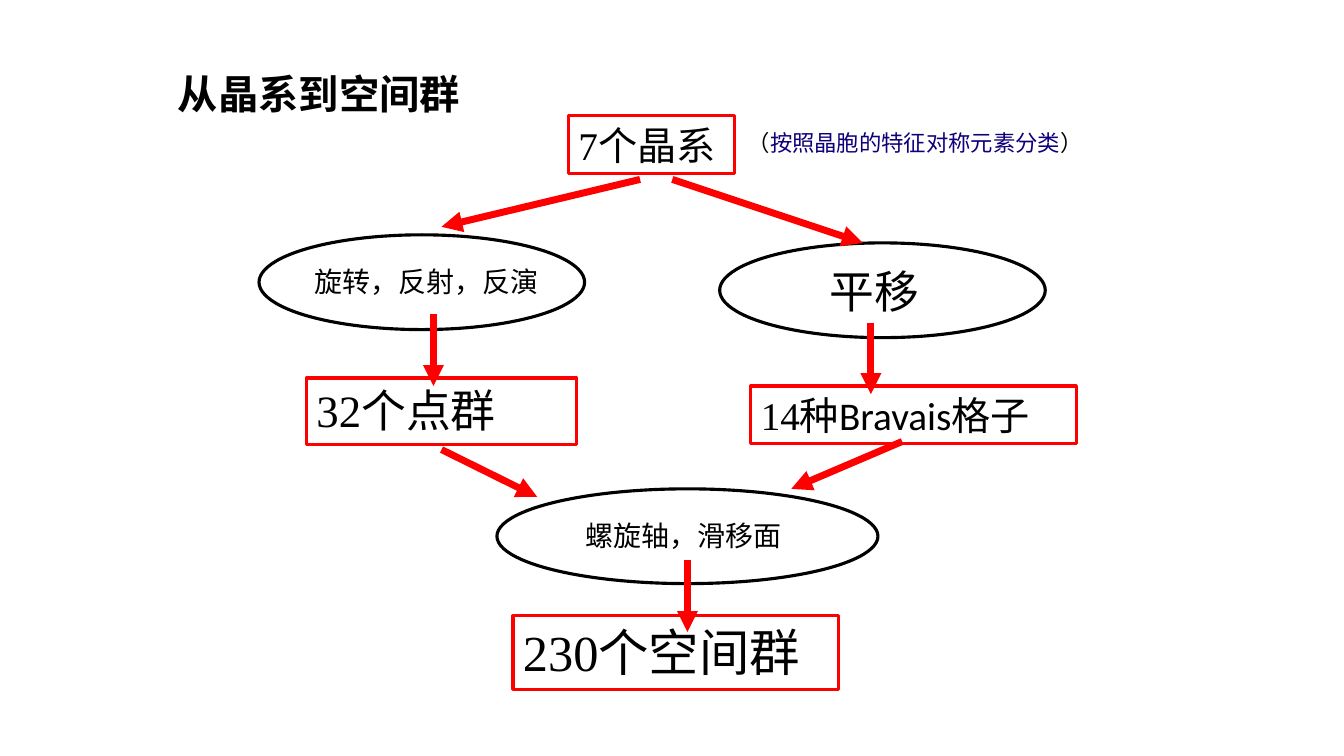
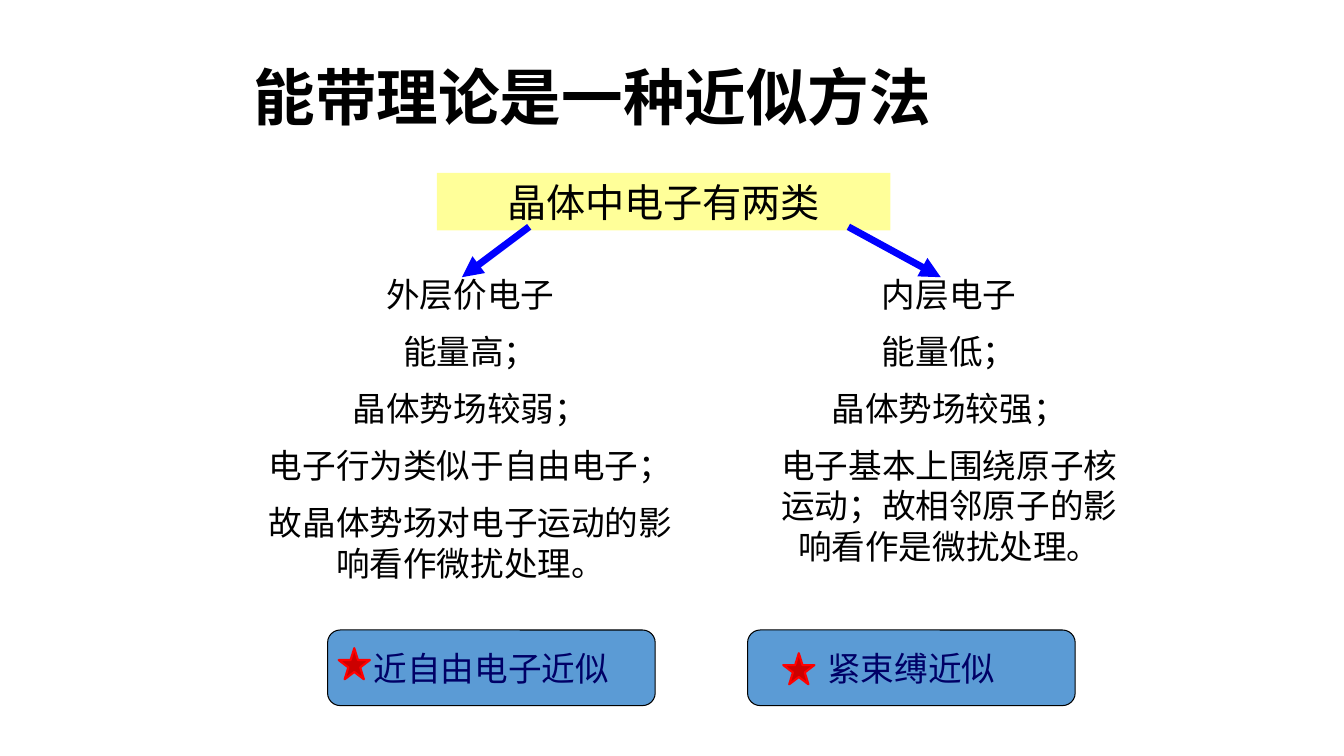
from dataclasses import dataclass

from lxml import etree
from pptx import Presentation, util as u
from pptx.dml.color import RGBColor
from pptx.enum import shapes, text
from pptx.enum.lang import MSO_LANGUAGE_ID as Lang
from pptx.oxml.ns import qn


@dataclass(frozen=True)
class Theme:
    sans: str = "Calibri"
    serif: str = "Times New Roman"
    black: str = "000000"
    red: str = "FF0000"
    blue: str = "0000FF"
    indigo: str = "0F007A"
    navy: str = "000066"
    yellow: str = "FFFF99"
    button: str = "5B9BD5"
    star: str = "CC0000"
    note: float = 16
    small: float = 20
    body: float = 24
    mid: float = 28
    large: float = 32
    huge: float = 36
    edge: float = 2.25
    arrow: float = 5


T = Theme()
CELL = u.Inches(1 / 12)  # the slide is a grid of 160 x 90 cells
FORM = shapes.MSO_SHAPE
LEFT, MID = text.PP_ALIGN.LEFT, text.PP_ALIGN.CENTER

# Content of slide 1: places are column, row, width, height in cells
GROUPS = {
    "title": ("从晶系到空间群", 28.8, (20, 8.16, 52.92, 6.6)),
    "ovals": [(30.84, 27.96, 38.76), (59.16, 58.2, 45.36), (85.68, 28.92, 38.76)],
    "labels": [
        ("旋转，反射，反演", T.small, (33.72, 30.84, 34.08, 5.16)),
        ("平移", T.large, (94.2, 30.84, 19.8, 7.56)),
        ("螺旋轴，滑移面", T.small, (61.08, 61.08, 40.68, 5.16)),
    ],
    "boxes": [
        ("7", "个晶系", T.mid, (67.68, 13.8, 19.8, 6.84)),
        ("32", "个点群", T.large, (36.48, 45, 32.16, 7.92)),
        ("14", "种Bravais格子", T.mid, (89.4, 45.96, 38.76, 6.84)),
        ("230", "个空间群", T.huge, (61.08, 73.32, 38.76, 8.76)),
    ],
    "slants": [
        (76.2, 21.36, 52.56, 27),
        (80.04, 21.36, 102.72, 28.92),
        (52.56, 53.52, 63.96, 59.16),
        (107.4, 52.56, 94.2, 58.2),
    ],
    "drops": [(51.6, 37.44), (103.68, 38.4), (81.84, 66.72)],
    "note": ("按照晶胞的特征对称元素分类", (87.6, 14.76, 42.72, 4.44)),
}
OVAL, DROP = 11.28, 8.52  # height of an oval, length of a drop

# Content of slide 2
BANDS = {
    "title": ("能带理论是一种近似方法", 44, (29, 6, 102, 12)),
    "head": ("晶体中电子有两类", (52, 20.6, 54, 6.84)),
    "sides": [
        {
            "lines": ["外层价电子", "能量高；", "晶体势场较弱；",
                      "电子行为类似于自由电子；",
                      "故晶体势场对电子运动的影响看作微扰处理。"],
            "place": (30, 32, 52, 40),
            "name": "近自由电子近似", "col": 39,
            "arrow": (63, 27, 55, 33), "star": (40.32, 77.16),
        },
        {
            "lines": ["内层电子", "能量低；", "晶体势场较强；",
                      "电子基本上围绕原子核运动；故相邻原子的影响看作是微扰处理。"],
            "place": (90, 32, 46, 37.56),
            "name": "紧束缚近似", "col": 89,
            "arrow": (101, 27, 112, 33), "star": (93.24, 77.76),
        },
    ],
}


def cells(place):
    return [round(n * CELL) for n in place]


def write(shape, lines, size, align=LEFT, anchor=text.MSO_ANCHOR.TOP,
          wrap=True, bold=False):
    """Each line is a list of (words, font, colour) runs."""
    frame = shape.text_frame
    frame.word_wrap = wrap
    frame.vertical_anchor = anchor
    for i, line in enumerate(lines):
        para = frame.add_paragraph() if i else frame.paragraphs[0]
        para.alignment = align
        if i:
            para.space_before = u.Pt(size / 2)
        for words, face, tint in line:
            run = para.add_run()
            run.text = words
            font = run.font
            font.name, font.size, font.bold = face, u.Pt(size), bold
            font.color.rgb = RGBColor.from_string(tint)
            font.language_id = Lang.SIMPLIFIED_CHINESE
    return frame


def plain(words, face=T.sans, tint=T.black):
    return [(words, face, tint)]


def label(slide, place, lines, size, **look):
    return write(slide.shapes.add_textbox(*cells(place)), lines, size, **look)


def draw(slide, form, place, fill=None, line=None, width=T.edge):
    shape = slide.shapes.add_shape(form, *cells(place))
    shape.shadow.inherit = False
    if fill:
        shape.fill.solid()
        shape.fill.fore_color.rgb = RGBColor.from_string(fill)
    else:
        shape.fill.background()
    if line:
        shape.line.color.rgb = RGBColor.from_string(line)
        shape.line.width = u.Pt(width)
    else:
        shape.line.fill.background()
    return shape


def arrow(slide, ends, tint):
    link = slide.shapes.add_connector(shapes.MSO_CONNECTOR.STRAIGHT, *cells(ends))
    link.line.color.rgb = RGBColor.from_string(tint)
    link.line.width = u.Pt(T.arrow)
    etree.SubElement(link.line._get_or_add_ln(), qn("a:tailEnd"), type="triangle")
    etree.SubElement(link._element.spPr, qn("a:effectLst"))


def title(slide, words, size, place):
    frame = label(slide, place, [plain(words)], size,
                  anchor=text.MSO_ANCHOR.MIDDLE, bold=True)
    frame.paragraphs[0].line_spacing = 0.9


def groups(slide):
    data = GROUPS
    for col, row, width in data["ovals"]:
        draw(slide, FORM.OVAL, (col, row, width, OVAL), line=T.black)
    title(slide, *data["title"])
    for words, size, place in data["labels"]:
        label(slide, place, [plain(words)], size, align=MID)
    for count, words, size, place in data["boxes"]:
        box = draw(slide, FORM.RECTANGLE, place, line=T.red)
        write(box, [plain(count, T.serif) + plain(words)], size)
    # Arrows between the steps
    drops = [(x, y, x, y + DROP) for x, y in data["drops"]]
    for ends in data["slants"] + drops:
        arrow(slide, ends, T.red)
    words, place = data["note"]
    line = plain("（") + plain(words, tint=T.indigo) + plain("）")
    label(slide, place, [line], T.note, align=MID, wrap=False)


def bands(slide):
    title(slide, *BANDS["title"])
    words, place = BANDS["head"]
    head = draw(slide, FORM.RECTANGLE, place, fill=T.yellow)
    write(head, [plain(words, T.serif)], T.mid, MID, text.MSO_ANCHOR.MIDDLE)
    # One column for each kind of electron
    for side in BANDS["sides"]:
        label(slide, side["place"], [plain(s) for s in side["lines"]],
              T.body, align=MID)
        button = draw(slide, FORM.ROUNDED_RECTANGLE, (side["col"], 75, 39, 9),
                      T.button, T.black, 0.75)
        write(button, [plain(side["name"], tint=T.navy)], T.body, MID,
              text.MSO_ANCHOR.MIDDLE, wrap=False)
        arrow(slide, side["arrow"], T.blue)
        draw(slide, FORM.STAR_5_POINT, (*side["star"], 3.72, 3.72),
             T.star, T.red, 1.5)


def main():
    deck = Presentation()
    deck.slide_width, deck.slide_height = 160 * CELL, 90 * CELL
    for build in (groups, bands):
        build(deck.slides.add_slide(deck.slide_layouts[6]))
    deck.save("out.pptx")


if __name__ == "__main__":
    main()
